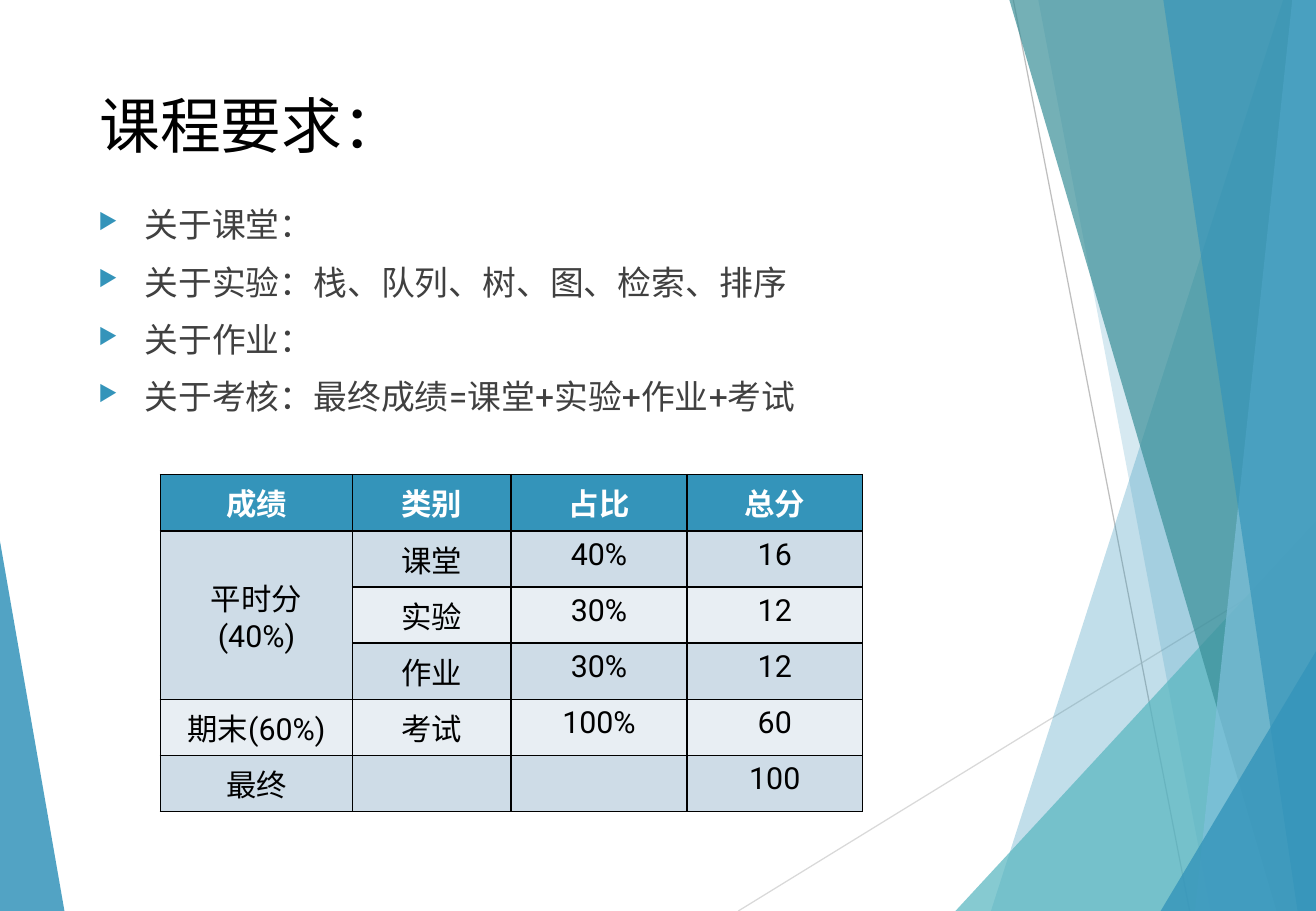
from lxml import etree
from pptx import Presentation
from pptx import util as u
from pptx.dml.color import RGBColor
from pptx.enum import lang, shapes, text
from pptx.oxml import ns

WIDTH, HEIGHT = u.Inches(10.83), u.Inches(7.5)
FONT = "Roboto"
WHITE = RGBColor(0xFF, 0xFF, 0xFF)
BLACK = RGBColor(0, 0, 0)
BODY_GREY = RGBColor(0x40, 0x40, 0x40)
LIGHT_GREY = RGBColor(0xD9, 0xD9, 0xD9)
MID_GREY = RGBColor(0xBF, 0xBF, 0xBF)
BLUE = RGBColor(0x34, 0x94, 0xBA)
PALE_BLUE = RGBColor(0x7F, 0xC1, 0xDB)
TEAL = RGBColor(0x58, 0xB6, 0xC0)
DARK_TEAL = RGBColor(0x3A, 0x8F, 0x98)
BAND_DARK = RGBColor(0xCE, 0xDC, 0xE7)
BAND_LIGHT = RGBColor(0xE8, 0xEE, 0xF3)

# Facets: colour, opacity in percent, corners in percent of the slide
LEFT_FACET = (BLUE, 85, [(0, 59.4), (4.9, 100), (0, 100)])
RIGHT_FACETS = [
    (BLUE, 30, [(97.5, 0), (75.3, 100), (100, 100), (100, 0)]),
    (BLUE, 20, [(78.9, 0), (92, 100), (100, 100), (100, 0)]),
    (TEAL, 72, [(72.6, 100), (100, 57.2), (100, 100)]),
    (DARK_TEAL, 70, [(76.7, 0), (97, 100), (100, 100), (100, 0)]),
    (PALE_BLUE, 70, [(98.2, 0), (90.8, 100), (100, 100), (100, 0)]),
    (BLUE, 65, [(88.4, 0), (98.6, 100), (100, 100), (100, 0)]),
    (BLUE, 80, [(88.2, 100), (100, 71.5), (100, 100)]),
]
REQUIREMENTS = [
    "关于课堂：",
    "关于实验：栈、队列、树、图、检索、排序",
    "关于作业：",
    "关于考核：最终成绩=课堂+实验+作业+考试",
]
GRADES = [
    ["成绩", "类别", "占比", "总分"],
    ["平时分(40%)", "课堂", "40%", "16"],
    ["", "实验", "30%", "12"],
    ["", "作业", "30%", "12"],
    ["期末(60%)", "考试", "100%", "60"],
    ["最终", "", "", "100"],
]
COLUMN_SHARES = [14.6, 12.05, 13.36, 13.36]
ROW_SHARE = 6.17


def across(percent):
    return u.Emu(round(WIDTH * percent / 100))


def down(percent):
    return u.Emu(round(HEIGHT * percent / 100))


def add_element(parent, tag, **attributes):
    element = etree.SubElement(parent, ns.qn(tag))
    for name, value in attributes.items():
        element.set(name, str(value))
    return element


def add_facet(slide, colour, opacity, corners):
    points = [(across(x), down(y)) for x, y in corners]
    builder = slide.shapes.build_freeform(*points[0])
    builder.add_line_segments(points[1:], close=True)
    shape = builder.convert_to_shape()
    shape.shadow.inherit = False
    shape.fill.solid()
    shape.fill.fore_color.rgb = colour
    shape.line.fill.background()
    colour_element = shape.fill._xPr.find(".//" + ns.qn("a:srgbClr"))
    add_element(colour_element, "a:alpha", val=opacity * 1000)


def add_thin_line(slide, start, end, colour):
    line = slide.shapes.add_connector(
        shapes.MSO_CONNECTOR.STRAIGHT,
        across(start[0]), down(start[1]), across(end[0]), down(end[1]))
    line.line.color.rgb = colour
    line.line.width = u.Pt(0.75)
    add_element(line._element.spPr, "a:effectLst")


def write(paragraph, content, size=18, colour=BLACK, bold=False,
          align=text.PP_ALIGN.LEFT, space_before=0):
    paragraph.alignment = align
    paragraph.space_before = u.Pt(space_before)
    run = paragraph.add_run()
    run.text = content
    run.font.name = FONT
    run.font.size = u.Pt(size)
    run.font.bold = bold
    run.font.color.rgb = colour
    run.font.language_id = lang.MSO_LANGUAGE_ID.SIMPLIFIED_CHINESE


def add_text_frame(slide, left, top, width, height):
    box = slide.shapes.add_textbox(
        across(left), down(top), across(width), down(height))
    box.text_frame.word_wrap = True
    return box.text_frame


def add_bullet(paragraph):
    properties = paragraph._p.get_or_add_pPr()
    indent = u.Inches(0.38)
    properties.set("marL", str(indent))
    properties.set("indent", str(-indent))
    colour = add_element(properties, "a:buClr")
    add_element(colour, "a:srgbClr", val=BLUE)
    add_element(properties, "a:buSzPct", val=65000)
    add_element(properties, "a:buChar", char="▶")


def add_bullet_list(slide, items):
    frame = add_text_frame(slide, 6.56, 21.73, 81.9, 28.27)
    for index, item in enumerate(items):
        paragraph = frame.add_paragraph() if index else frame.paragraphs[0]
        add_bullet(paragraph)
        write(paragraph, item, size=20, colour=BODY_GREY,
              space_before=10 if index else 0)


def style_cell(cell, colour):
    properties = cell._tc.get_or_add_tcPr()
    for side in ("a:lnL", "a:lnR", "a:lnT", "a:lnB"):
        border = add_element(properties, side, w=u.Pt(1))
        fill = add_element(border, "a:solidFill")
        add_element(fill, "a:srgbClr", val=BLACK)
    cell.fill.solid()
    cell.fill.fore_color.rgb = colour


def add_grade_table(slide):
    table = slide.shapes.add_table(
        len(GRADES), len(COLUMN_SHARES), across(12.19), down(52.1),
        across(sum(COLUMN_SHARES)), down(ROW_SHARE * len(GRADES))).table
    for column, share in zip(table.columns, COLUMN_SHARES):
        column.width = across(share)
    for row_index, values in enumerate(GRADES):
        table.rows[row_index].height = down(ROW_SHARE)
        header = row_index == 0
        band = BAND_DARK if row_index % 2 else BAND_LIGHT
        for column_index, value in enumerate(values):
            cell = table.cell(row_index, column_index)
            style_cell(cell, BLUE if header else band)
            if value:
                write(cell.text_frame.paragraphs[0], value, bold=header,
                      colour=WHITE if header else BLACK,
                      align=text.PP_ALIGN.CENTER)
    # Coursework spans its three categories
    coursework = table.cell(1, 0)
    coursework.merge(table.cell(3, 0))
    coursework.vertical_anchor = text.MSO_ANCHOR.MIDDLE


def main():
    presentation = Presentation()
    presentation.slide_width, presentation.slide_height = WIDTH, HEIGHT
    slide = presentation.slides.add_slide(presentation.slide_layouts[6])

    # Background facets and thin lines
    add_facet(slide, *LEFT_FACET)
    add_thin_line(slide, (56.1, 100), (100, 61), LIGHT_GREY)
    add_thin_line(slide, (77, 0), (90.4, 100), MID_GREY)
    for facet in RIGHT_FACETS:
        add_facet(slide, *facet)

    # Title, requirements and grading
    title = add_text_frame(slide, 6.65, 8.93, 69.44, 19.2)
    write(title.paragraphs[0], "课程要求：", size=36)
    add_bullet_list(slide, REQUIREMENTS)
    add_grade_table(slide)

    presentation.save("out.pptx")


if __name__ == "__main__":
    main()
